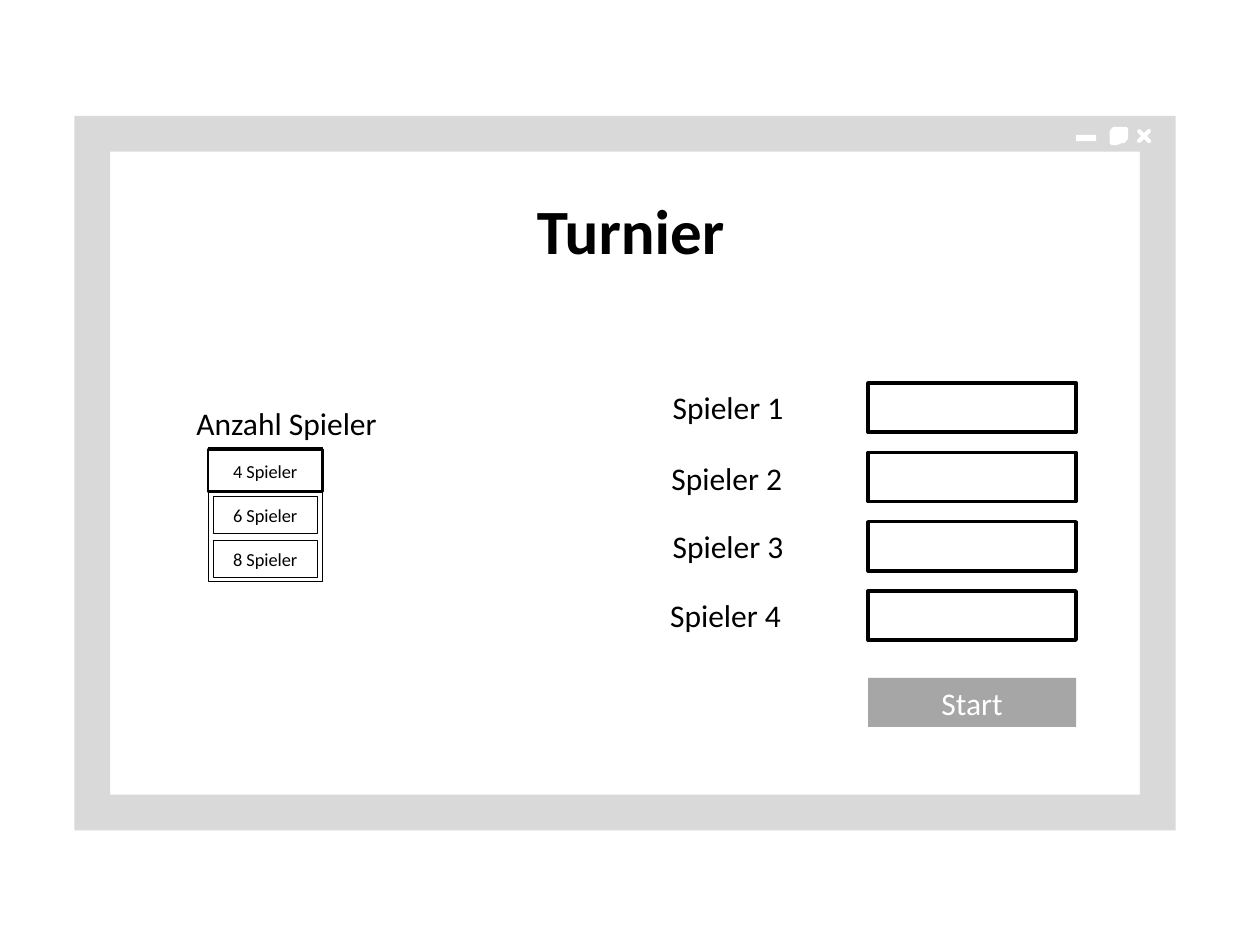
from dataclasses import dataclass

from pptx import Presentation
from pptx.dml.color import RGBColor
from pptx.enum.shapes import MSO_SHAPE
from pptx.enum.text import MSO_ANCHOR, MSO_AUTO_SIZE, PP_ALIGN
from pptx.util import Inches, Pt

RECT = MSO_SHAPE.RECTANGLE
FRAME = MSO_SHAPE.FRAME
CROSS = MSO_SHAPE.MATH_MULTIPLY
PAGES = MSO_SHAPE.FLOWCHART_MULTIDOCUMENT
MIDDLE = MSO_ANCHOR.MIDDLE
GROW = MSO_AUTO_SIZE.SHAPE_TO_FIT_TEXT
LEFT = PP_ALIGN.LEFT
CENTER = PP_ALIGN.CENTER

FONT = "Calibri"
COLORS = {
    "ink": "000000",
    "paper": "FFFFFF",
    "window": "D9D9D9",
    "button": "A6A6A6",
    "close": "FF0000",
}


@dataclass
class Box:
    """A preset shape with optional fill, outline and centred text."""
    left: float
    top: float
    width: float
    height: float
    kind: int = RECT
    fill: str = ""
    line: str = ""
    weight: float = 0
    adjust: float | None = None
    text: str = ""
    size: float = 18
    color: str = "ink"


@dataclass
class Label:
    """A line of free text."""
    text: str
    left: float
    top: float
    width: float = 1.65
    height: float = 0.4
    size: float = 18
    bold: bool = False
    align: int = LEFT


def rgb(name: str) -> RGBColor:
    """Look up a named colour."""
    return RGBColor.from_string(COLORS[name])


def write(shape, text: str, size: float, color: str, bold: bool, align) -> None:
    """Put one formatted line of text in a shape."""
    para = shape.text_frame.paragraphs[0]
    para.alignment = align
    span = para.add_run()
    span.text = text
    formats = {"name": FONT, "size": Pt(size), "bold": bold}
    for key, value in formats.items():
        setattr(span.font, key, value)
    span.font.color.rgb = rgb(color)


def draw_box(page, box: Box):
    """Draw a preset shape."""
    shape = page.shapes.add_shape(
        box.kind, Inches(box.left), Inches(box.top),
        Inches(box.width), Inches(box.height))
    shape.shadow.inherit = False
    if box.adjust is not None:
        shape.adjustments[0] = box.adjust
    if box.fill:
        shape.fill.solid()
        shape.fill.fore_color.rgb = rgb(box.fill)
    else:
        shape.fill.background()
    if box.line:
        shape.line.color.rgb = rgb(box.line)
        shape.line.width = Pt(box.weight)
    else:
        shape.line.fill.background()
    if box.text:
        shape.text_frame.vertical_anchor = MIDDLE
        write(shape, box.text, box.size, box.color, False, CENTER)


def draw_label(page, label: Label):
    """Draw a text box."""
    shape = page.shapes.add_textbox(
        Inches(label.left), Inches(label.top),
        Inches(label.width), Inches(label.height))
    shape.text_frame.word_wrap = True
    shape.text_frame.auto_size = GROW
    write(shape, label.text, label.size, "ink", label.bold, label.align)


deck = Presentation()
deck.slide_width, deck.slide_height = Inches(10), Inches(7.5)
page = deck.slides.add_slide(deck.slide_layouts[6])

window = [
    Box(0.59, 0.92, 8.74, 5.67, FRAME, "window", adjust=0.05),
    Box(9, 1, 0.16, 0.16, CROSS, "close", "paper", 2, adjust=0.02),
    Box(8.82, 1.02, 0.12, 0.12, PAGES, "paper", "paper", 2),
    Box(8.54, 1.07, 0.16, 0.05, fill="paper"),
]
start = Box(6.89, 5.38, 1.65, 0.39, fill="button", text="Start", color="paper")
fields = [Box(6.89, 3.04 + 0.55 * row, 1.65, 0.39, line="ink", weight=2)
          for row in range(4)]
choices = [
    Box(left, top, width, height, line="ink", weight=0.25,
        text=f"{count} Spieler", size=10.5)
    for count, left, top, width, height in (
        (4, 1.65, 3.57, 0.91, 0.34),
        (6, 1.69, 3.94, 0.83, 0.29),
        (8, 1.69, 4.29, 0.83, 0.29),
    )
]
dropdown = [
    Box(1.65, 3.55, 0.91, 1.06, line="ink", weight=0.25),
    Box(1.65, 3.57, 0.91, 0.33, line="ink", weight=1.5),
]
labels = [
    Label("Turnier", 4.15, 1.47, 1.71, 0.71, 36, True, CENTER),
    Label("Anzahl Spieler", 1.46, 3.16),
]
player_spots = ((5.24, 3.03), (5.23, 3.59), (5.24, 4.13), (5.22, 4.68))
labels += [Label(f"Spieler {number}", left, top)
           for number, (left, top) in enumerate(player_spots, 1)]

for box in [*window, start, *fields, *choices, *dropdown]:
    draw_box(page, box)
for label in labels:
    draw_label(page, label)

deck.save("out.pptx")
